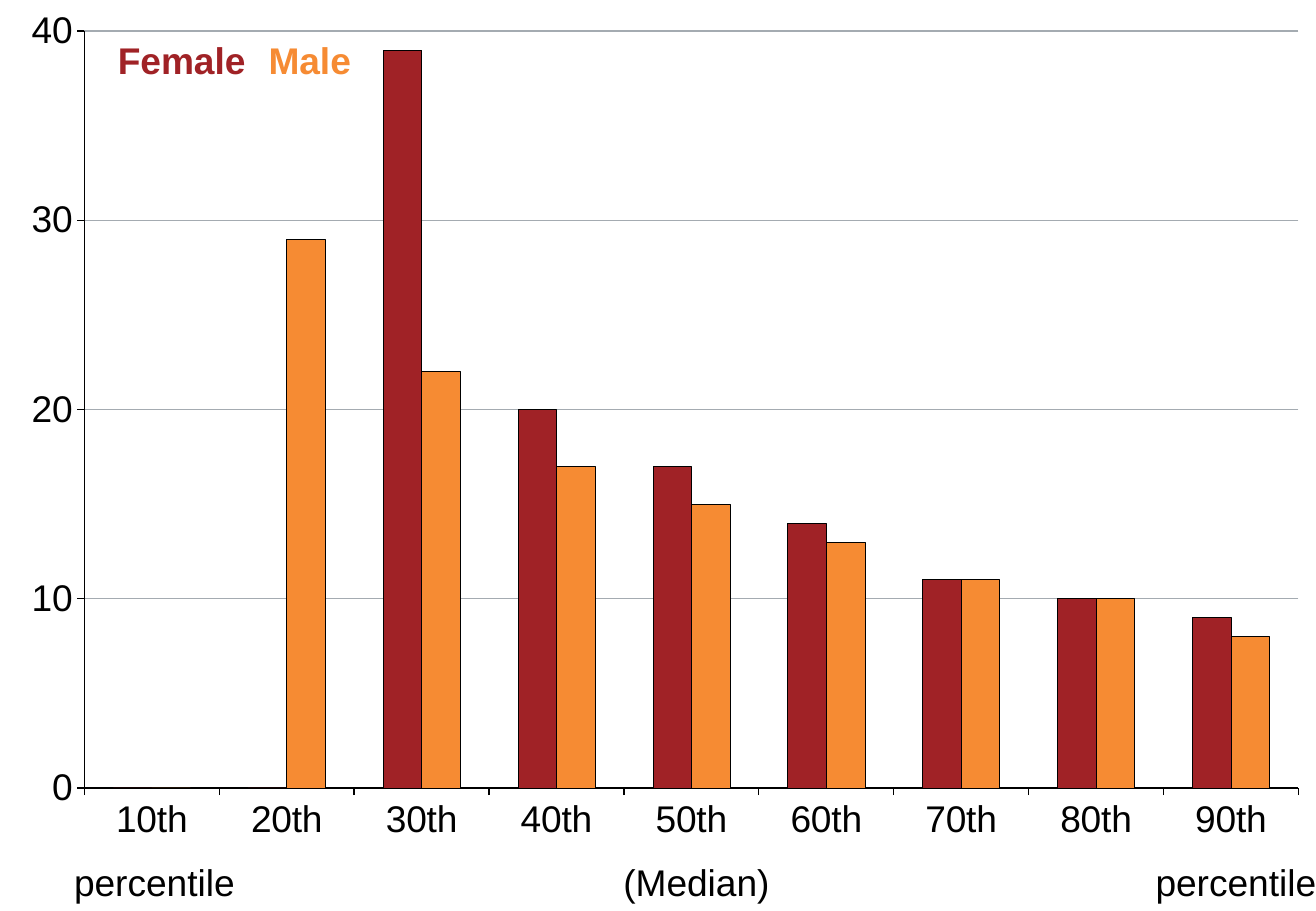
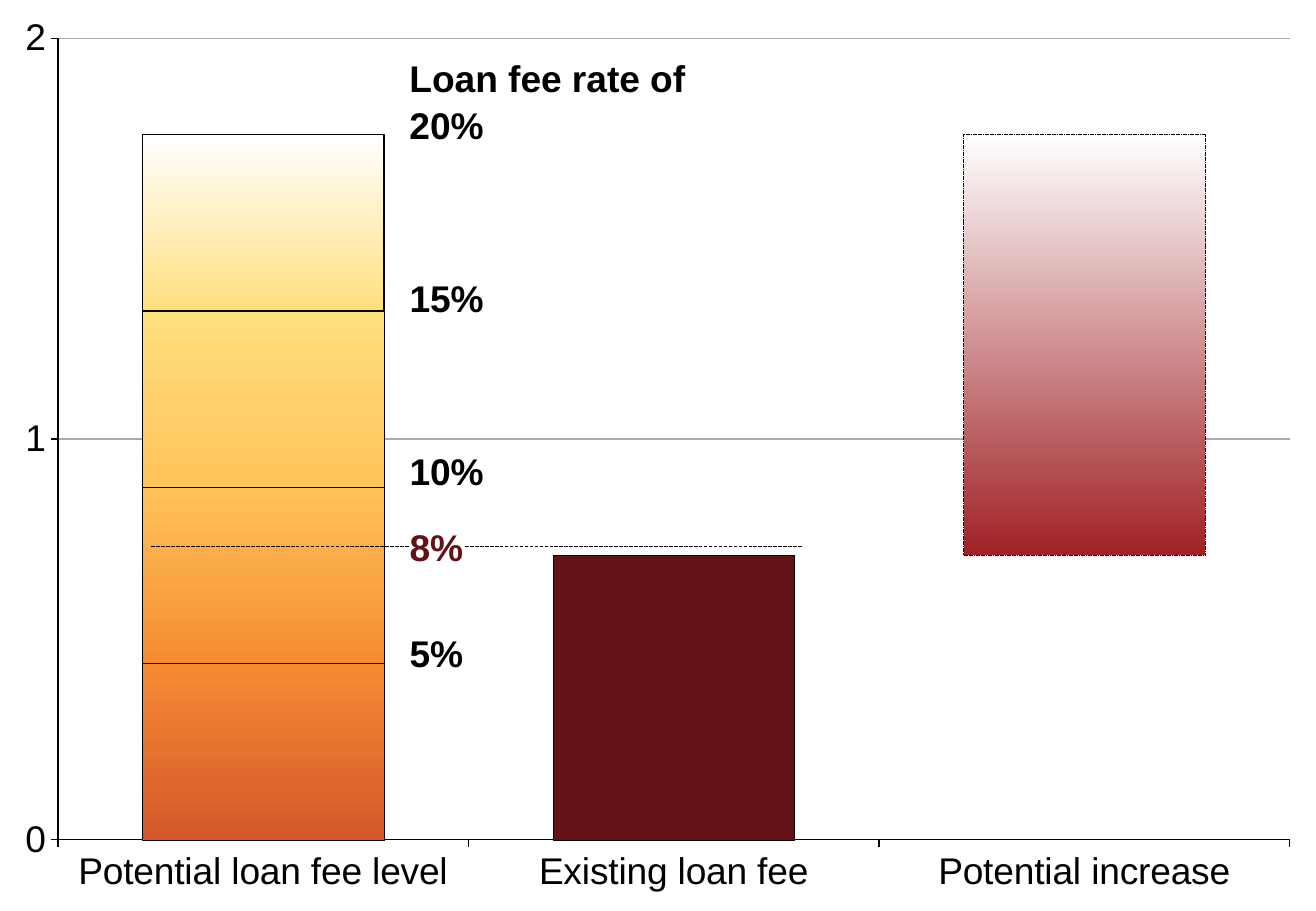
from lxml.etree import SubElement
from pptx import Presentation
from pptx.chart.data import CategoryChartData
from pptx.dml.color import RGBColor
from pptx.enum.chart import XL_CHART_TYPE as ChartType, XL_TICK_MARK as TickMark
from pptx.enum.dml import MSO_LINE
from pptx.enum.shapes import MSO_CONNECTOR
from pptx.enum.text import MSO_AUTO_SIZE
from pptx.oxml import parse_xml
from pptx.oxml.ns import nsdecls, qn
from pptx.util import Inches, Pt

WIDTH, HEIGHT = 10.83, 7.5
FONT, LABEL_SIZE, LABEL_HEIGHT = "Arial", 22, 0.37
BLACK, WHITE, GRID = "000000", "FFFFFF", "A4ABB1"
RED, MAROON, ORANGE = "A02226", "621214", "F68B33"
RUST, AMBER, YELLOW = "D4582A", "FFC35A", "FFE07F"

PERCENTILES = ["10th", "20th", "30th", "40th", "50th", "60th", "70th", "80th", "90th"]
BY_SEX = [
    (RED, [0, 0, 39, 20, 17, 14, 11, 10, 9]),
    (ORANGE, [0, 29, 22, 17, 15, 13, 11, 10, 8]),
]
# text, left, top, width, colour, bold
PERCENTILE_LABELS = [
    ("percentile", 0.61, 7.06, 1.34, BLACK, False),
    ("percentile", 9.51, 7.06, 1.34, BLACK, False),
    ("(Median)", 5.13, 7.06, 1.22, BLACK, False),
    ("Female", 0.97, 0.29, 1.06, RED, True),
    ("Male", 2.21, 0.29, 0.69, ORANGE, True),
]

FEE_BARS = ["Potential loan fee level", "Existing loan fee", "Potential increase"]
# A pair of colours is a gradient from bottom to top; None leaves the bar unseen.
FEE_STACK = [
    (RED, [0.44, 0.71, 0.71]),
    (ORANGE, [0.44, None, 1.05]),
    ((AMBER, YELLOW), [0.44, None, None]),
    ((YELLOW, WHITE), [0.44, None, None]),
]
# (series, bar): fill, dashed outline
FEE_POINTS = {
    (0, 0): ((RUST, ORANGE), False),
    (0, 1): (MAROON, False),
    (0, 2): (None, False),
    (1, 0): ((ORANGE, AMBER), False),
    (1, 2): ((RED, WHITE), True),
}
RATE_LEFT = 3.37
RATE_LABELS = [
    ("5%", 5.17, 0.45),
    ("10%", 3.67, 0.62),
    ("15%", 2.25, 0.62),
    ("Loan fee rate of\n20%", 0.44, 2.3),
]


def colour(hex_string):
    return RGBColor.from_string(hex_string)


def style_line(line, hex_string, points):
    line.color.rgb = colour(hex_string)
    line.width = Pt(points)


def style_bar(bar_format, fill, dashed=False):
    """Fill and outline a series or a single bar."""
    if fill is None:
        bar_format.fill.background()
        bar_format.line.fill.background()
        return
    if isinstance(fill, tuple):
        bar_format.fill.gradient()
        bar_format.fill.gradient_angle = 90
        for stop, hex_string in zip(bar_format.fill.gradient_stops, fill):
            stop.color.rgb = colour(hex_string)
    else:
        bar_format.fill.solid()
        bar_format.fill.fore_color.rgb = colour(fill)
    style_line(bar_format.line, BLACK, 0.25)
    if dashed:
        bar_format.line.dash_style = MSO_LINE.SQUARE_DOT


def set_inner_plot(chart, shares):
    """Place the plot, without its axis labels, by shares of the chart's size."""
    plot_area = chart.element.find(".//" + qn("c:plotArea"))
    for old_layout in plot_area.findall(qn("c:layout")):
        plot_area.remove(old_layout)
    names = ("x", "y", "w", "h")
    settings = [("layoutTarget", "inner"), ("xMode", "edge"), ("yMode", "edge"), *zip(names, shares)]
    items = "".join(f'<c:{name} val="{value}"/>' for name, value in settings)
    plot_area.insert(0, parse_xml(
        f'<c:layout {nsdecls("c")}><c:manualLayout>{items}</c:manualLayout></c:layout>'))


def add_columns(slide, chart_type, width, categories, series_list, maximum, step,
                gap, overlap, inner_plot):
    data = CategoryChartData()
    data.categories = categories
    for number, (_, values) in enumerate(series_list, 1):
        data.add_series(f"Series {number}", values)
    chart = slide.shapes.add_chart(chart_type, 0, 0, Inches(width), Inches(HEIGHT), data).chart
    chart.has_legend = chart.has_title = False
    chart.font.name, chart.font.size = FONT, Pt(18)
    chart.font.color.rgb = colour(BLACK)
    for axis in (chart.category_axis, chart.value_axis):
        axis.major_tick_mark, axis.minor_tick_mark = TickMark.OUTSIDE, TickMark.NONE
        axis.tick_labels.font.size = Pt(LABEL_SIZE)
        style_line(axis.format.line, BLACK, 0.75)
    value_axis = chart.value_axis
    value_axis.minimum_scale, value_axis.maximum_scale = 0, maximum
    value_axis.major_unit = step
    style_line(value_axis.major_gridlines.format.line, GRID, 0.75)
    plot = chart.plots[0]
    plot.gap_width, plot.overlap, plot.vary_by_categories = gap, overlap, False
    for series, (fill, _) in zip(plot.series, series_list):
        style_bar(series.format, fill)
    set_inner_plot(chart, inner_plot)
    return chart


def add_label(slide, text, left, top, width, hex_string=BLACK, bold=True, fill=None):
    height = LABEL_HEIGHT * (text.count("\n") + 1)
    box = slide.shapes.add_textbox(Inches(left), Inches(top), Inches(width), Inches(height))
    if fill:
        box.fill.solid()
        box.fill.fore_color.rgb = colour(fill)
    frame = box.text_frame
    frame.margin_left = frame.margin_right = frame.margin_top = frame.margin_bottom = 0
    frame.word_wrap, frame.auto_size = False, MSO_AUTO_SIZE.SHAPE_TO_FIT_TEXT
    frame.text = text
    for paragraph in frame.paragraphs:
        paragraph.line_spacing = 1.05
        for run in paragraph.runs:
            run.font.name, run.font.size, run.font.bold = FONT, Pt(LABEL_SIZE), bold
            run.font.color.rgb = colour(hex_string)


def add_percentile_slide(slide):
    add_columns(slide, ChartType.COLUMN_CLUSTERED, 10.69, PERCENTILES, BY_SEX,
                40, 10, 150, 0, (0.065, 0.034, 0.935, 0.831))
    for label in PERCENTILE_LABELS:
        add_label(slide, *label)


def add_fee_slide(slide):
    chart = add_columns(slide, ChartType.COLUMN_STACKED, WIDTH, FEE_BARS, FEE_STACK,
                        2, 1, 70, 100, (0.044, 0.042, 0.936, 0.88))
    all_series = chart.plots[0].series
    for (series, bar), (fill, dashed) in FEE_POINTS.items():
        style_bar(all_series[series].points[bar].format, fill, dashed)
    style_line(all_series[3].format.line, BLACK, 0.75)
    for text, top, width in RATE_LABELS:
        add_label(slide, text, RATE_LEFT, top, width)
    rate_line = slide.shapes.add_connector(
        MSO_CONNECTOR.STRAIGHT, Inches(6.6), Inches(4.5), Inches(1.24), Inches(4.5))
    style_line(rate_line.line, BLACK, 0.75)
    rate_line.line.dash_style = MSO_LINE.SQUARE_DOT
    SubElement(rate_line.element.spPr, qn("a:effectLst"))
    add_label(slide, "8%", RATE_LEFT, 4.3, 0.45, MAROON, fill=WHITE)


def main():
    presentation = Presentation()
    presentation.slide_width, presentation.slide_height = Inches(WIDTH), Inches(HEIGHT)
    blank = presentation.slide_layouts[6]
    for fill_slide in (add_percentile_slide, add_fee_slide):
        fill_slide(presentation.slides.add_slide(blank))
    presentation.save("out.pptx")


if __name__ == "__main__":
    main()
